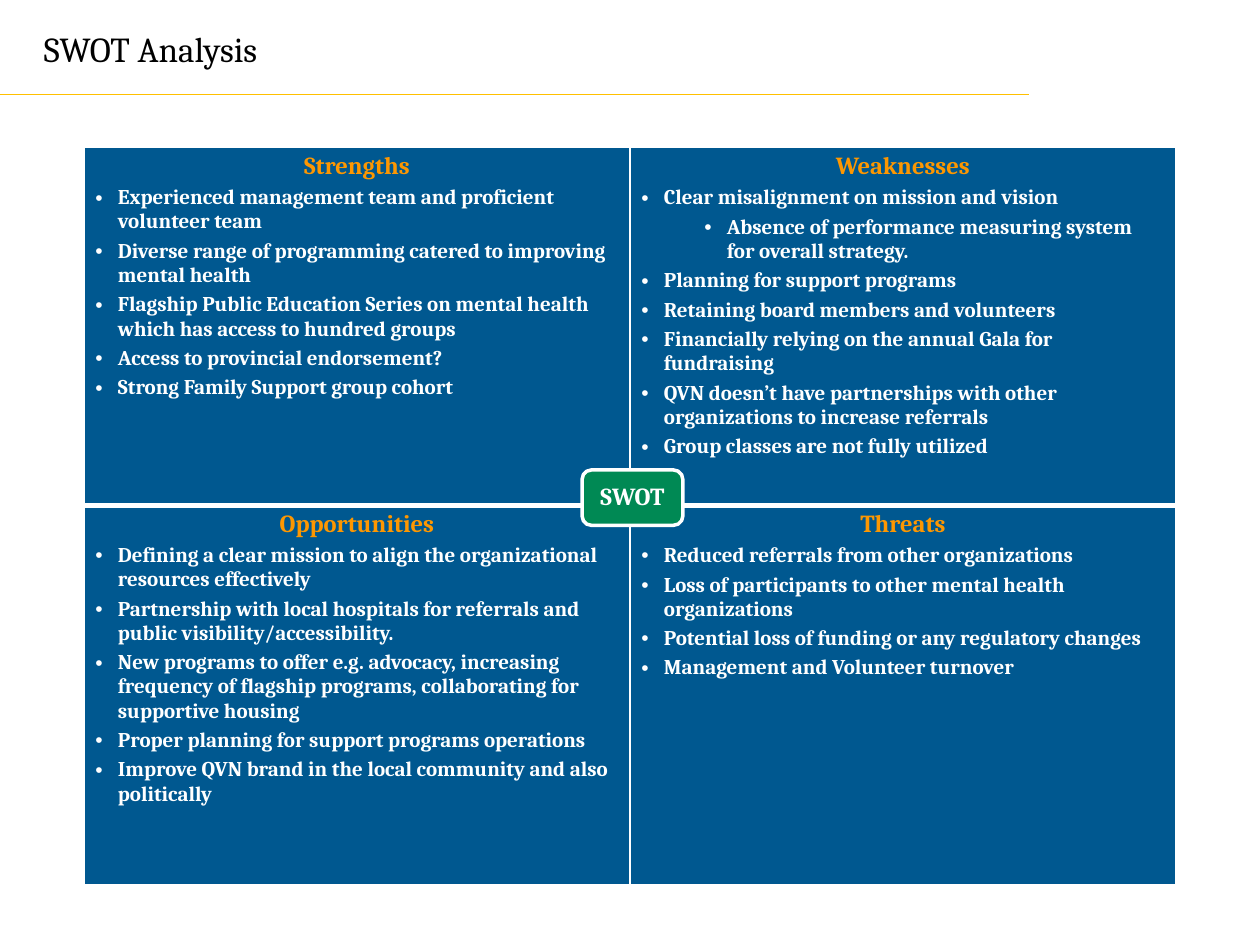
from lxml import etree
from pptx import Presentation
from pptx import util as u
from pptx.dml.color import RGBColor
from pptx.enum import shapes, text
from pptx.oxml import ns

BLACK = RGBColor(0, 0, 0)
WHITE = RGBColor(255, 255, 255)
GOLD = RGBColor(0xFF, 0xC0, 0x00)
ORANGE = RGBColor(0xFD, 0x97, 0x01)
BLUE = RGBColor(0x00, 0x58, 0x90)
GREEN = RGBColor(0x00, 0x89, 0x54)
FONT = "Cambria"
ROW_HEIGHTS = [2.84, 3.01]
HANGING = 0.18

# Each quadrant: heading, then (level, text) points
QUADRANTS = [
    [("Strengths", [
        (0, "Experienced management team and proficient volunteer team"),
        (0, "Diverse range of programming catered to improving mental health"),
        (0, "Flagship Public Education Series on mental health which has access to hundred groups"),
        (0, "Access to provincial endorsement?"),
        (0, "Strong Family Support group cohort")]),
     ("Weaknesses", [
        (0, "Clear misalignment on mission and vision"),
        (1, "Absence of performance measuring system for overall strategy."),
        (0, "Planning for support programs"),
        (0, "Retaining board members and volunteers"),
        (0, "Financially relying on the annual Gala for fundraising"),
        (0, "QVN doesn’t have partnerships with other organizations to increase referrals"),
        (0, "Group classes are not fully utilized")])],
    [("Opportunities", [
        (0, "Defining a clear mission to align the organizational resources effectively"),
        (0, "Partnership with local hospitals for referrals and public visibility/accessibility."),
        (0, "New programs to offer e.g. advocacy, increasing frequency of flagship programs, "
            "collaborating for supportive housing"),
        (0, "Proper planning for support programs operations"),
        (0, "Improve QVN brand in the local community and also politically")]),
     ("Threats", [
        (0, "Reduced referrals from other organizations"),
        (0, "Loss of participants to other mental health organizations"),
        (0, "Potential loss of funding or any regulatory changes"),
        (0, "Management and Volunteer turnover")])],
]


def write(para, words, size, color, bold=True):
    para.text = words
    font = para.runs[0].font
    font.name, font.size, font.bold = FONT, u.Pt(size), bold
    font.color.rgb = color


def add_border(cell, index, side, points):
    line = etree.Element(ns.qn(f"a:ln{side}"), w=str(u.Pt(points)))
    fill = etree.SubElement(line, ns.qn("a:solidFill"))
    etree.SubElement(fill, ns.qn("a:srgbClr"), val=str(WHITE))
    cell._tc.get_or_add_tcPr().insert(index, line)


deck = Presentation()
deck.slide_width, deck.slide_height = u.Inches(10), u.Inches(7.5)
page = deck.slides.add_slide(deck.slide_layouts[6])
unit = deck.slide_width // 15

# Title and rule
title = page.shapes.add_textbox(u.Inches(0.25), u.Inches(0.17), u.Inches(2), u.Inches(0.44))
title.text_frame.word_wrap = False
title.text_frame.auto_size = text.MSO_AUTO_SIZE.SHAPE_TO_FIT_TEXT
write(title.text_frame.paragraphs[0], "SWOT Analysis", 20, BLACK, bold=False)

rule_y = deck.slide_height // 10
rule = page.shapes.add_connector(shapes.MSO_CONNECTOR.STRAIGHT, 0, rule_y, u.Inches(8.17), rule_y)
rule.line.color.rgb = GOLD
rule.line.width = u.Pt(0.75)
etree.SubElement(rule._element.spPr, ns.qn("a:effectLst"))

# Quadrants
table = page.shapes.add_table(2, 2, unit, u.Inches(1.17), 13 * unit,
                              u.Inches(sum(ROW_HEIGHTS))).table
for row, quadrants in enumerate(QUADRANTS):
    table.rows[row].height = u.Inches(ROW_HEIGHTS[row])
    for column, (heading, points) in enumerate(quadrants):
        cell = table.cell(row, column)
        cell.margin_left = cell.margin_right = u.Inches(0.09)
        cell.margin_top = cell.margin_bottom = u.Inches(0.04)
        cell.fill.solid()
        cell.fill.fore_color.rgb = BLUE
        widths = {"L": 1, "R": 1, "T": 3 if row else 1, "B": 1 if row else 3}
        for index, (side, width) in enumerate(widths.items()):
            add_border(cell, index, side, width)

        para = cell.text_frame.paragraphs[0]
        write(para, heading, 14, ORANGE)
        para.alignment = text.PP_ALIGN.CENTER
        for level, words in points:
            para = cell.text_frame.add_paragraph()
            write(para, words, 12, WHITE)
            para.level = level
            para.space_before = u.Pt(3)
            props = para._p.get_or_add_pPr()
            props.set("marL", str(u.Inches(HANGING + 0.5 * level)))
            props.set("indent", str(-u.Inches(HANGING)))
            etree.SubElement(props, ns.qn("a:buFont"), typeface="Arial")
            etree.SubElement(props, ns.qn("a:buChar"), char="•")

# Centre badge
badge = page.shapes.add_shape(shapes.MSO_SHAPE.ROUNDED_RECTANGLE, u.Inches(4.62), u.Inches(3.73),
                              u.Inches(0.8), u.Inches(0.44))
badge.adjustments[0] = 0.17
badge.shadow.inherit = False
badge.fill.solid()
badge.fill.fore_color.rgb = GREEN
badge.line.color.rgb = WHITE
badge.line.width = u.Pt(2)
frame = badge.text_frame
frame.margin_left = frame.margin_right = frame.margin_top = frame.margin_bottom = u.Inches(0.09)
frame.vertical_anchor = text.MSO_ANCHOR.MIDDLE
write(frame.paragraphs[0], "SWOT", 14, WHITE)
frame.paragraphs[0].alignment = text.PP_ALIGN.CENTER
frame.paragraphs[0].line_spacing = 0.9

deck.save("out.pptx")
